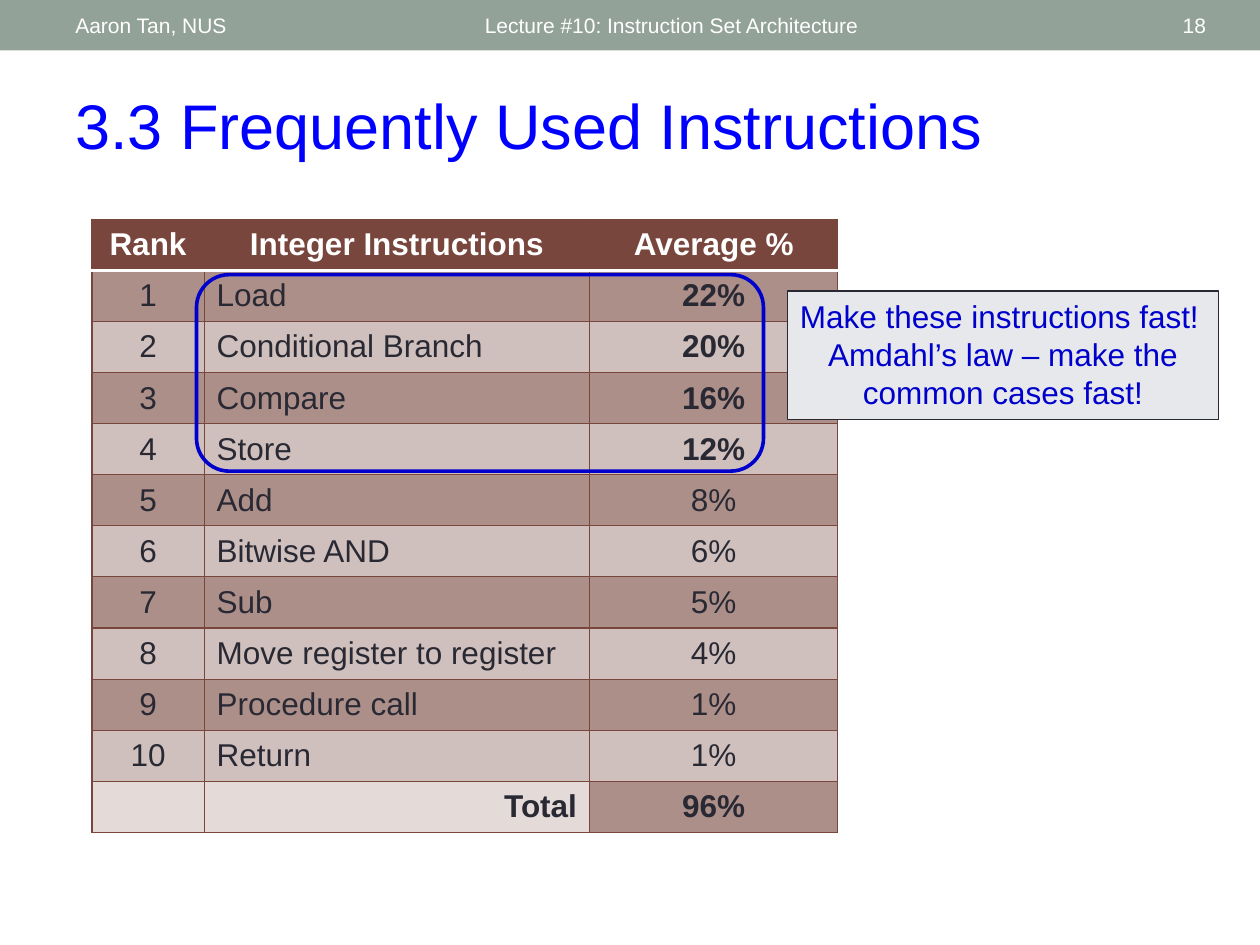
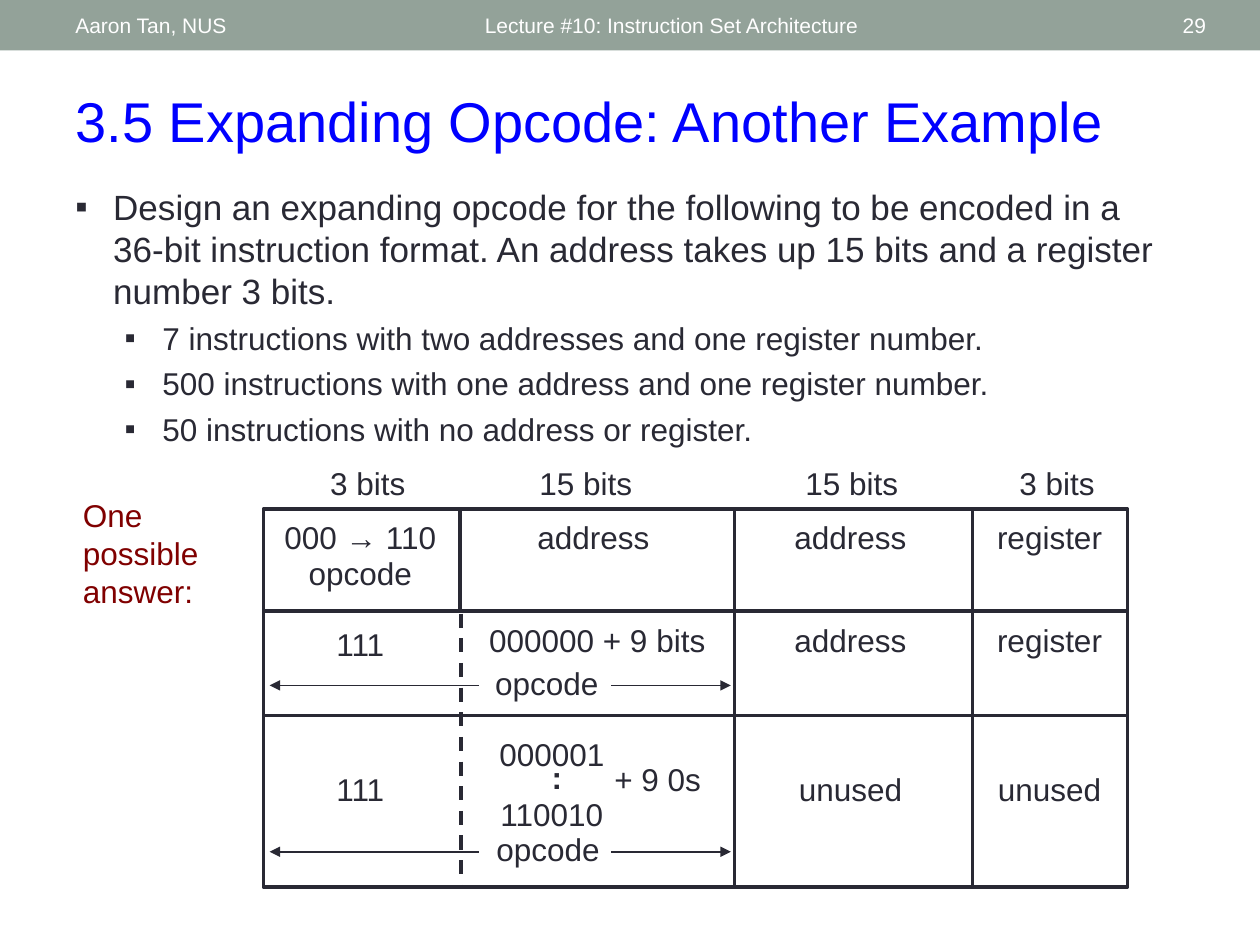
"""Build two lecture slides on instruction set architecture."""
from dataclasses import dataclass
from typing import NamedTuple, Optional

from lxml.etree import SubElement
from pptx import Presentation
from pptx.dml.color import RGBColor
from pptx.enum.dml import MSO_LINE
from pptx.enum.shapes import MSO_CONNECTOR, MSO_SHAPE
from pptx.enum.text import MSO_ANCHOR, PP_ALIGN
from pptx.oxml.ns import qn
from pptx.util import Inches, Pt


@dataclass(frozen=True)
class Theme:
    """Colours, font and type sizes shared by the slides."""
    font: str = "Arial"
    band: str = "93A299"
    white: str = "FFFFFF"
    ink: str = "292934"
    title: str = "0000FF"
    accent: str = "0000CC"
    answer: str = "800000"
    callout: str = "E6E8EC"
    brown: str = "79463D"
    brown_dark: str = "AD8F89"
    brown_light: str = "CFC0BD"
    brown_pale: str = "E4DAD8"
    footer_size: float = 12
    text_size: float = 18
    bullet_size: float = 20


class Box(NamedTuple):
    """Position and size in inches."""
    left: float
    top: float
    width: float
    height: float

    def emu(self) -> list:
        """Return the four lengths for python-pptx."""
        return [Inches(length) for length in self]


class Label(NamedTuple):
    """Short text centred on a point of the instruction format."""
    text: str
    center: float
    top: float
    bold: bool = False


class Line(NamedTuple):
    """Straight line, possibly dashed or with an arrowhead at its end."""
    x1: float
    y1: float
    x2: float
    y2: float
    width: float = 2
    dashed: bool = False
    arrow: bool = False


class Bullet(NamedTuple):
    """One bulleted paragraph."""
    text: str
    level: int
    size: float


THEME = Theme()
LECTURE = "Lecture #10: Instruction Set Architecture"
AUTHOR = "Aaron Tan, NUS"

INSTRUCTIONS = [
    ("Load", "22%"), ("Conditional Branch", "20%"), ("Compare", "16%"),
    ("Store", "12%"), ("Add", "8%"), ("Bitwise AND", "6%"), ("Sub", "5%"),
    ("Move register to register", "4%"), ("Procedure call", "1%"), ("Return", "1%"),
]
FREQUENT_COUNT = 4

BULLETS = [
    Bullet("Design an expanding opcode for the following to be encoded in a 36-bit "
           "instruction format. An address takes up 15 bits and a register number 3 bits.",
           0, THEME.bullet_size),
    Bullet("7 instructions with two addresses and one register number.", 1, THEME.text_size),
    Bullet("500 instructions with one address and one register number.", 1, THEME.text_size),
    Bullet("50 instructions with no address or register.", 1, THEME.text_size),
]

FORMAT = Box(2.09, 4.04, 6.86, 3)
FORMAT_RIGHT, FORMAT_BOTTOM = FORMAT.left + FORMAT.width, FORMAT.top + FORMAT.height
OPCODE_X, ADDRESS_X, REGISTER_X = 3.65, 5.83, 7.72
ROW_LINES = (4.85, 5.68)
OPCODE, FIRST, SECOND, REGISTER = 2.86, 4.71, 6.75, 8.33

LABELS = [
    *(Label(text, center, 3.67) for text, center in
      [("3 bits", 2.92), ("15 bits", 4.65), ("15 bits", 6.76), ("3 bits", 8.39)]),
    Label("000 → 110", OPCODE, 4.1), Label("opcode", OPCODE, 4.39),
    Label("address", FIRST, 4.1), Label("address", SECOND, 4.1),
    Label("register", REGISTER, 4.1),
    Label("111", OPCODE, 4.95), Label("000000 + 9 bits", 4.74, 4.92),
    Label("opcode", 4.34, 5.26),
    Label("address", SECOND, 4.92), Label("register", REGISTER, 4.92),
    Label("111", OPCODE, 6.1), Label("000001", 4.38, 5.82),
    Label(":", 4.42, 6.01, bold=True), Label("110010", 4.38, 6.3),
    Label("+ 9 0s", 5.22, 6.02), Label("opcode", 4.35, 6.58),
    Label("unused", SECOND, 6.1), Label("unused", REGISTER, 6.1),
]

LINES = [
    *(Line(FORMAT.left, y, FORMAT_RIGHT, y) for y in ROW_LINES),
    *(Line(x, FORMAT.top, x, FORMAT_BOTTOM) for x in (ADDRESS_X, REGISTER_X)),
    Line(OPCODE_X, FORMAT.top, OPCODE_X, ROW_LINES[0]),
    Line(OPCODE_X + 0.01, ROW_LINES[0] + 0.02, OPCODE_X + 0.01, FORMAT_BOTTOM, dashed=True),
    *(Line(start, y, end, y, width=1, arrow=True)
      for y in (5.44, 6.76) for start, end in ((3.8, 2.14), (4.85, 5.8))),
]


def color(value: str) -> RGBColor:
    """Turn a hex string into a colour."""
    return RGBColor.from_string(value)


def style(paragraph, size: float, ink: str, bold: bool = False, align=PP_ALIGN.LEFT) -> None:
    """Set font and alignment of a paragraph."""
    paragraph.alignment = align
    font = paragraph.font
    font.name, font.size, font.bold = THEME.font, Pt(size), bold
    font.color.rgb = color(ink)


def add_text(slide, box: Box, text: str, size: float, ink: str, bold: bool = False,
             align=PP_ALIGN.LEFT, anchor=MSO_ANCHOR.TOP, inset: Optional[float] = None):
    """Add a wrapping text box with one paragraph."""
    frame = slide.shapes.add_textbox(*box.emu()).text_frame
    frame.word_wrap = True
    frame.vertical_anchor = anchor
    if inset is not None:
        frame.margin_left = frame.margin_right = Inches(inset)
        frame.margin_top = frame.margin_bottom = Inches(inset)
    frame.text = text
    style(frame.paragraphs[0], size, ink, bold, align)
    return frame


def add_panel(slide, box: Box, fill: Optional[str] = None, line: Optional[str] = None,
              width: float = 1, kind=MSO_SHAPE.RECTANGLE):
    """Add a preset shape with optional fill and outline."""
    shape = slide.shapes.add_shape(kind, *box.emu())
    shape.shadow.inherit = False
    if fill:
        shape.fill.solid()
        shape.fill.fore_color.rgb = color(fill)
    else:
        shape.fill.background()
    if line:
        shape.line.color.rgb = color(line)
        shape.line.width = Pt(width)
    else:
        shape.line.fill.background()
    return shape


def add_line(slide, line: Line) -> None:
    """Draw a straight connector."""
    ends = [Inches(length) for length in line[:4]]
    connector = slide.shapes.add_connector(MSO_CONNECTOR.STRAIGHT, *ends)
    connector.line.color.rgb = color(THEME.ink)
    connector.line.width = Pt(line.width)
    if line.dashed:
        connector.line.dash_style = MSO_LINE.DASH
    if line.arrow:
        SubElement(connector.line._get_or_add_ln(), qn("a:tailEnd"), type="triangle")
    SubElement(connector._element.spPr, qn("a:effectLst"))


def add_base_slide(presentation, number: int, title: str, title_size: float):
    """Add a slide with the header band and title."""
    slide = presentation.slides.add_slide(presentation.slide_layouts[6])
    add_panel(slide, Box(0, 0, 10, 0.4), THEME.band)
    for text, left, width, align in [
        (LECTURE, 3.75, 4.5, PP_ALIGN.LEFT),
        (AUTHOR, 0.5, 3.17, PP_ALIGN.LEFT),
        (str(number), 8.72, 0.95, PP_ALIGN.RIGHT),
    ]:
        add_text(slide, Box(left, 0.02, width, 0.36), text, THEME.footer_size,
                 THEME.white, align=align, anchor=MSO_ANCHOR.MIDDLE)
    add_text(slide, Box(0.5, 0.64, 9.17, 0.7), title, title_size, THEME.title)
    return slide


def set_borders(cell, header: bool, below_header: bool) -> None:
    """Outline a cell, with a white rule under the header row."""
    properties = cell._tc.get_or_add_tcPr()
    white_side = "B" if header else "T" if below_header else ""
    for index, side in enumerate("LRTB"):
        ink, width = (THEME.white, 2.08) if side == white_side else (THEME.brown, 0.75)
        line = properties.makeelement(qn(f"a:ln{side}"), {"w": str(Pt(width))})
        SubElement(SubElement(line, qn("a:solidFill")), qn("a:srgbClr"), val=ink)
        properties.insert(index, line)


def add_frequency_table(slide) -> None:
    """Add the table of instruction frequencies."""
    rows = [("Rank", "Integer Instructions", "Average %"),
            *((str(rank), *row) for rank, row in enumerate(INSTRUCTIONS, 1)),
            ("", "Total", "96%")]
    total = len(rows) - 1
    table = slide.shapes.add_table(len(rows), 3, *Box(0.73, 1.74, 5.92, 4.87).emu()).table
    for column, width in zip(table.columns, (0.89, 3.06, 1.97)):
        column.width = Inches(width)
    for row_index, row in enumerate(rows):
        header, last = row_index == 0, row_index == total
        for column_index, text in enumerate(row):
            cell = table.cell(row_index, column_index)
            cell.text = text
            cell.vertical_anchor = MSO_ANCHOR.MIDDLE
            align = PP_ALIGN.CENTER
            if column_index == 1 and not header:
                align = PP_ALIGN.RIGHT if last else PP_ALIGN.LEFT
            bold = header or last or (column_index == 2 and row_index <= FREQUENT_COUNT)
            style(cell.text_frame.paragraphs[0], THEME.text_size,
                  THEME.white if header else THEME.ink, bold, align)
            fill = THEME.brown_dark if row_index % 2 else THEME.brown_light
            if header:
                fill = THEME.brown
            elif last and column_index < 2:
                fill = THEME.brown_pale
            cell.fill.solid()
            cell.fill.fore_color.rgb = color(fill)
            set_borders(cell, header, row_index == 1)


def add_callout(slide) -> None:
    """Add the remark beside the most frequent instructions."""
    shape = add_panel(slide, Box(6.25, 2.31, 3.42, 1.02), THEME.callout, THEME.ink)
    frame = shape.text_frame
    frame.word_wrap = True
    frame.vertical_anchor = MSO_ANCHOR.TOP
    frame.text = "Make these instructions fast!\nAmdahl’s law – make the common cases fast!"
    for paragraph, align in zip(frame.paragraphs, (PP_ALIGN.LEFT, PP_ALIGN.CENTER)):
        style(paragraph, THEME.text_size, THEME.accent, align=align)


def add_bullets(slide) -> None:
    """Add the design task as a two-level list."""
    frame = add_text(slide, Box(0.5, 1.42, 8.79, 2.25), "", THEME.text_size, THEME.ink)
    frame.text = "\n".join(bullet.text for bullet in BULLETS)
    for paragraph, bullet in zip(frame.paragraphs, BULLETS):
        paragraph.level = bullet.level
        properties = paragraph._p.get_or_add_pPr()
        for existing in list(properties):
            properties.remove(existing)
        properties.set("marL", str(Inches((0.3, 0.69)[bullet.level])))
        properties.set("indent", str(Inches(-0.3)))
        SubElement(SubElement(properties, qn("a:buClr")), qn("a:srgbClr"), val=THEME.ink)
        SubElement(properties, qn("a:buFont"), typeface=THEME.font)
        SubElement(properties, qn("a:buChar"), char="▪")
        paragraph.space_before = Pt(4.4)
        style(paragraph, bullet.size, THEME.ink)


def main() -> None:
    """Build and save the presentation."""
    presentation = Presentation()
    presentation.slide_width, presentation.slide_height = Inches(10), Inches(7.5)

    frequency = add_base_slide(presentation, 18, "3.3 Frequently Used Instructions", 36)
    add_frequency_table(frequency)
    add_callout(frequency)
    add_panel(frequency, Box(1.56, 2.18, 4.5, 1.56), line=THEME.accent, width=2.08,
              kind=MSO_SHAPE.ROUNDED_RECTANGLE)

    opcode = add_base_slide(presentation, 29, "3.5 Expanding Opcode: Another Example", 32)
    add_bullets(opcode)
    add_panel(opcode, FORMAT, line=THEME.ink, width=2)
    for line in LINES:
        add_line(opcode, line)
    for label in LABELS:
        add_text(opcode, Box(label.center - 1, label.top, 2, 0.32), label.text,
                 THEME.text_size, THEME.ink, label.bold, PP_ALIGN.CENTER, inset=0.01)
    add_text(opcode, Box(0.56, 3.89, 1.58, 1), "One possible answer:",
             THEME.text_size, THEME.answer)
    presentation.save("out.pptx")


if __name__ == "__main__":
    main()
